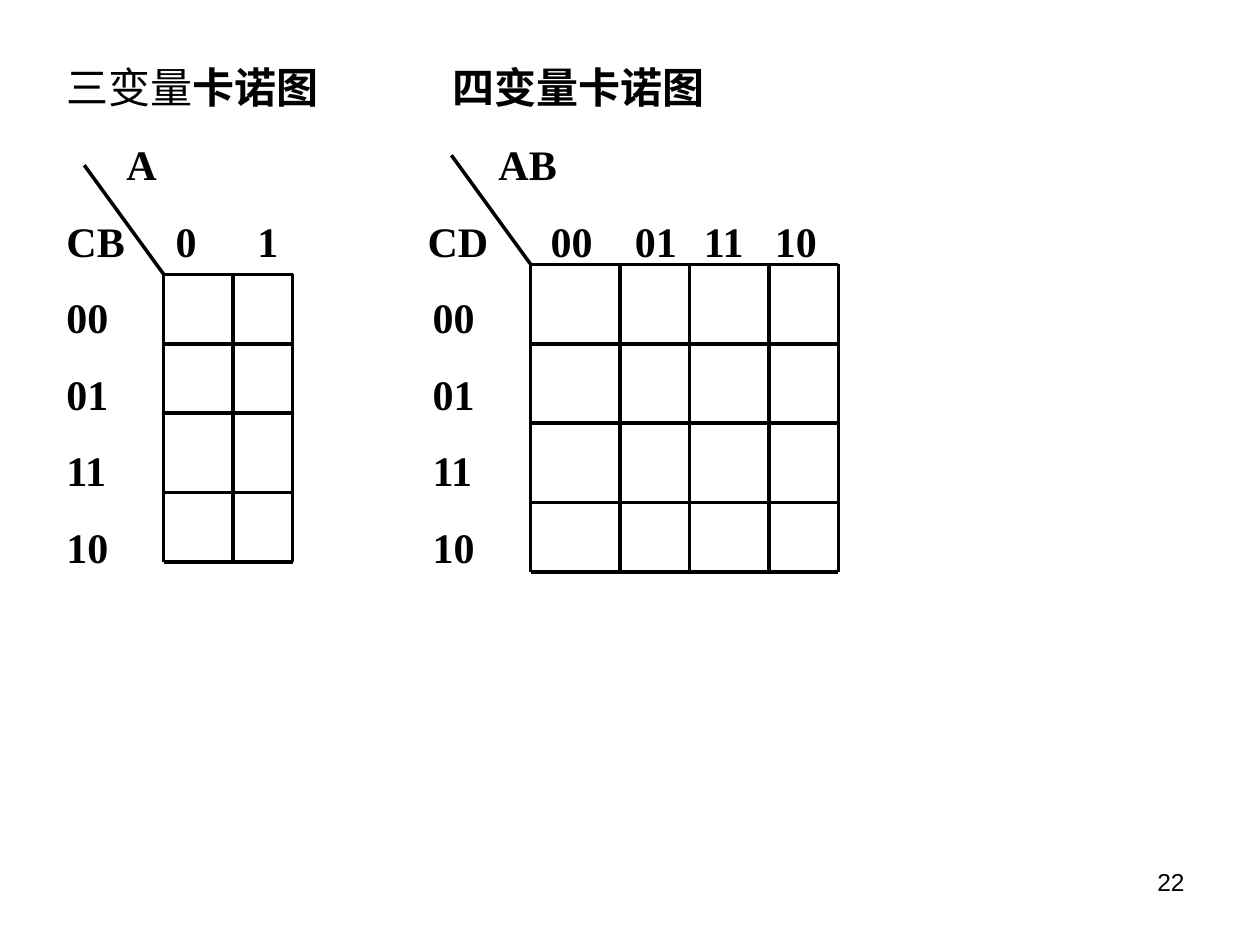
import pptx
import pptx.util
import pptx.dml.color
import pptx.enum.shapes
import pptx.enum.text
from lxml import etree
from pptx.oxml.ns import qn
from pptx.util import Cm, Pt

BLACK = pptx.dml.color.RGBColor(0, 0, 0)

presentation = pptx.Presentation()
presentation.slide_width = Cm(25.4)
presentation.slide_height = Cm(19.05)
slide = presentation.slides.add_slide(presentation.slide_layouts[6])


def add_line(start_x, start_y, end_x, end_y):
    connector = slide.shapes.add_connector(
        pptx.enum.shapes.MSO_CONNECTOR.STRAIGHT,
        Cm(start_x), Cm(start_y), Cm(end_x), Cm(end_y))
    connector.line.color.rgb = BLACK
    connector.line.width = Pt(2)
    etree.SubElement(connector._element.spPr, qn("a:effectLst"))


def add_text_box(left, top, width, height):
    text_frame = slide.shapes.add_textbox(
        Cm(left), Cm(top), Cm(width), Cm(height)).text_frame
    text_frame.word_wrap = True
    return text_frame


# Headings and labels of both maps: runs of each line, tab stops in cm
label_lines = [
    (["三变量", "卡诺图\t四变量卡诺图"], [7.78]),
    (["\tA\tAB"], [1.21, 8.71]),
    (["CB\t0\t1\tCD\t00\t01\t11\t10"],
     [2.2, 3.85, 7.28, 9.76, 11.46, 12.85, 14.28]),
]
label_lines += [([f"{code}\t{code}"], [7.38]) for code in ("00", "01", "11", "10")]

text_frame = add_text_box(1.09, 1.12, 23.39, 13.64)
for index, (run_texts, tab_stops) in enumerate(label_lines):
    paragraph = text_frame.paragraphs[0] if index == 0 else text_frame.add_paragraph()
    if index > 0:
        paragraph.space_before = Pt(15)
    tab_list = etree.SubElement(paragraph._p.get_or_add_pPr(), qn("a:tabLst"))
    for position in tab_stops:
        etree.SubElement(tab_list, qn("a:tab"), pos=str(Cm(position)), algn="l")
    paragraph.font.name = "Times New Roman"
    paragraph.font.size = Pt(24)
    paragraph.font.color.rgb = BLACK
    for run_text in run_texts:
        run = paragraph.add_run()
        run.text = run_text
        run.font.bold = run_text != "三变量"

# Karnaugh maps: column edges and row edges in cm
maps = [
    ([3.3, 4.7, 5.9], [5.53, 6.93, 8.33, 9.93, 11.33]),
    ([10.7, 12.5, 13.9, 15.5, 16.9], [5.33, 6.93, 8.53, 10.13, 11.53]),
]
for columns, rows in maps:
    left, right = columns[0], columns[-1]
    top, bottom = rows[0], rows[-1]
    add_line(left - 1.6, top - 2.2, left, top)
    for y in rows:
        add_line(left, y, right, y)
    for x in columns:
        add_line(x, top, x, bottom)

# Page number
paragraph = add_text_box(18.2, 17.36, 5.93, 1.32).paragraphs[0]
paragraph.text = "22"
paragraph.alignment = pptx.enum.text.PP_ALIGN.RIGHT
paragraph.font.name = "Arial"
paragraph.font.size = Pt(14)
paragraph.font.color.rgb = BLACK

presentation.save("out.pptx")
